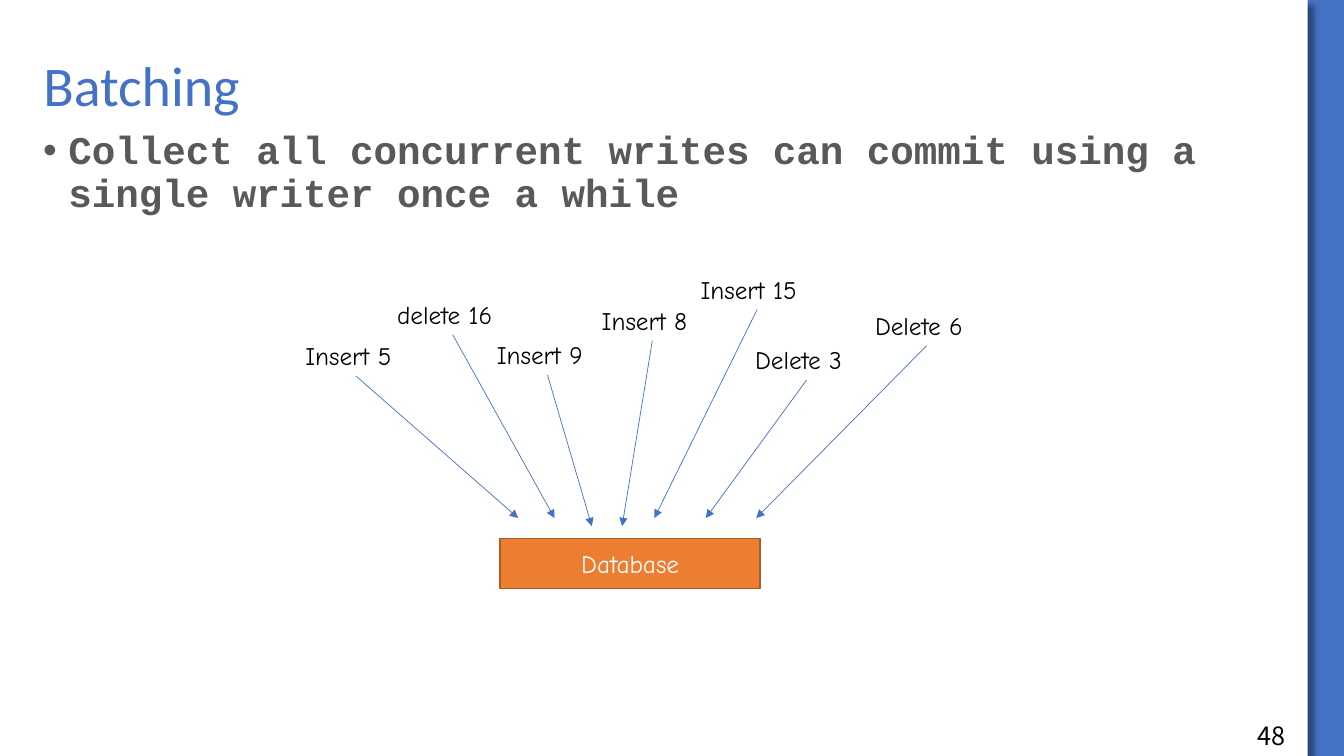
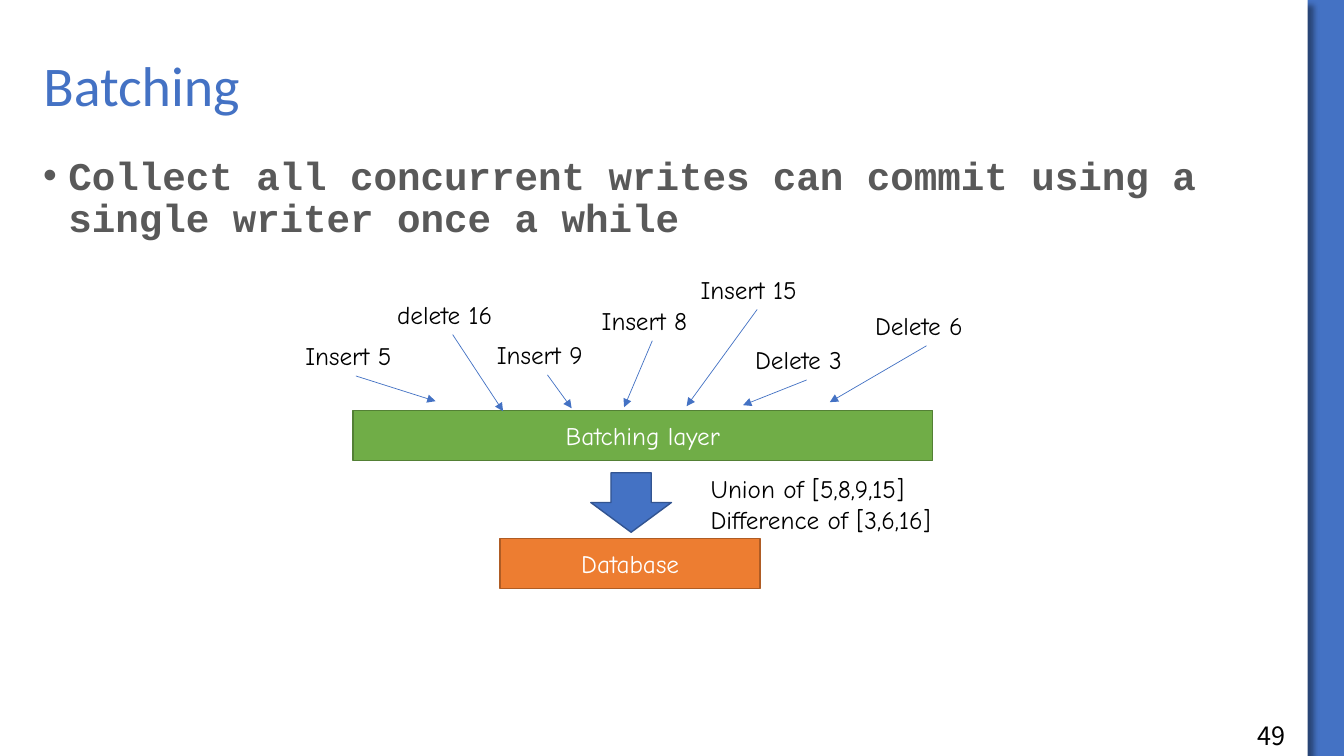
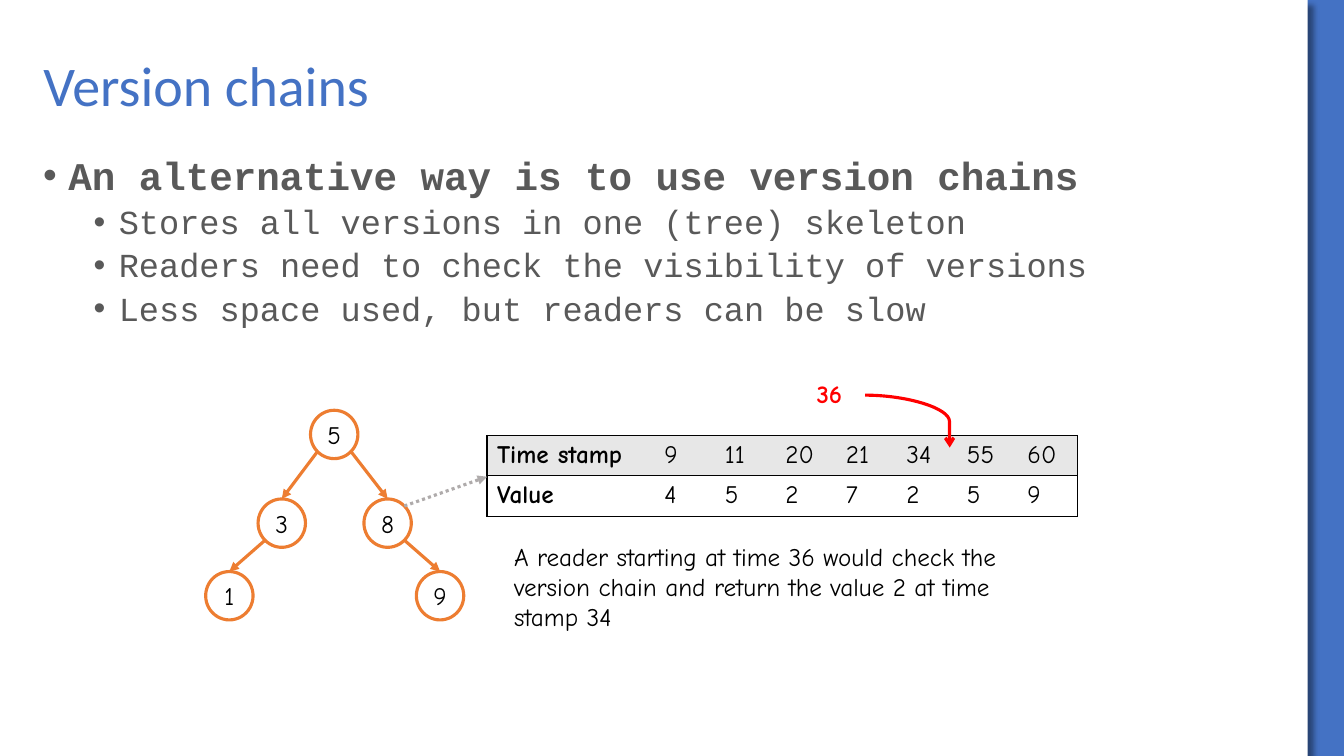
from math import sqrt

from pptx import Presentation
from pptx.dml.color import RGBColor
from pptx.enum import dml, shapes, text
from pptx.oxml import parse_xml
from pptx.oxml.ns import nsdecls, qn
from pptx.util import Inches, Pt

# Shared look
BLUE, ORANGE, GREEN = "4472C4", "ED7D31", "70AD47"
WHITE, BLACK, GREY, RED = "FFFFFF", "000000", "595959", "FF0000"
HAND, CODE = "Comic Neue", "Courier New"
TITLE_ONLY = 5

# Batching content: label, left, top, width, arrow tip at database, at layer
REQUESTS = [
    ("Insert 5", 2.93, 3.33, 1.2, (5.14, 5.14), (4.32, 3.98)),
    ("Insert 9", 4.83, 3.32, 1.2, (5.87, 5.22), (5.67, 4.05)),
    ("Delete 3", 7.39, 3.37, 1.22, (7, 5.14), (7.37, 4.02)),
    ("delete 16", 3.84, 2.92, 1.3, (5.5, 5.14), (4.99, 4.08)),
    ("Insert 15", 6.85, 2.67, 1.32, (6.49, 5.14), (6.81, 4.03)),
    ("Insert 8", 5.87, 2.98, 1.2, (6.17, 5.22), (6.19, 4.04)),
    ("Delete 6", 8.58, 3.03, 1.22, (7.5, 5.14), (8.23, 3.99)),
]
BATCHING_POINT = "Collect all concurrent writes can commit using a single writer once a while"

# Version chain content
NODES = {"5": (3.08, 4.07), "3": (2.56, 4.95), "8": (3.61, 4.95),
         "1": (2.04, 5.67), "9": (4.13, 5.67)}
EDGES = [("5", "3"), ("5", "8"), ("3", "1"), ("8", "9")]
NODE_WIDTH, NODE_HEIGHT = 0.47, 0.48
CHAIN = [["Time stamp", "9", "11", "20", "21", "34", "55", "60"],
         ["Value", "4", "5", "2", "7", "2", "5", "9"]]


def rgb(value):
    return RGBColor.from_string(value)


def element(xml):
    """Make a drawing element from a tag with its attributes and content."""
    name = xml[1:].split(" ")[0].split(">")[0].rstrip("/")
    return parse_xml(xml.replace(name, f"{name} {nsdecls('a')}", 1))


# Text
def write(para, words, size=18, font=HAND, color=BLACK, bold=False, align=None,
          spacing=None):
    span = para.add_run()
    span.text = words
    span.font.size, span.font.name, span.font.bold = Pt(size), font, bold
    span.font.color.rgb = rgb(color)
    para.alignment = align
    para.line_spacing = spacing


def add_text(page, lines, left, top, width, height, wrap=False, **style):
    box = page.shapes.add_textbox(*map(Inches, (left, top, width, height)))
    frame = box.text_frame
    frame.word_wrap = wrap
    frame.auto_size = text.MSO_AUTO_SIZE.SHAPE_TO_FIT_TEXT
    for index, words in enumerate(lines):
        write(frame.add_paragraph() if index else frame.paragraphs[0], words, **style)


def add_bullets(page, top, height, heading, details=()):
    box = page.shapes.add_textbox(*map(Inches, (0.33, top, 12.33, height)))
    frame = box.text_frame
    frame.word_wrap = True
    for index, words in enumerate([heading, *details]):
        detail = index > 0
        para = frame.add_paragraph() if detail else frame.paragraphs[0]
        write(para, words, size=24 if detail else 28, font=CODE, color=GREY,
              bold=not detail, spacing=0.9)
        para.level = int(detail)
        para.space_before = Pt(5 if detail else 6)
        props = para._p.get_or_add_pPr()
        props.set("marL", str(Inches(0.75 if detail else 0.25)))
        props.set("indent", str(Inches(-0.25)))
        props.append(element('<a:buFont typeface="Arial"/>'))
        props.append(element('<a:buChar char="•"/>'))


# Shapes and lines
def add_block(page, kind, left, top, width, height, fill, line=None, weight=1,
              label="", color=WHITE):
    block = page.shapes.add_shape(kind, *map(Inches, (left, top, width, height)))
    block.shadow.inherit = False
    block.fill.solid()
    block.fill.fore_color.rgb = rgb(fill)
    if line:
        block.line.color.rgb = rgb(line)
        block.line.width = Pt(weight)
    else:
        block.line.fill.background()
    if label:
        frame = block.text_frame
        frame.vertical_anchor = text.MSO_ANCHOR.MIDDLE
        frame.margin_left = frame.margin_right = Inches(0.08)
        frame.margin_top = frame.margin_bottom = Inches(0.04)
        write(frame.paragraphs[0], label, color=color, align=text.PP_ALIGN.CENTER)
    return block


def add_arrow(page, start, end, color=BLUE, weight=0.5, dash=None, head="triangle",
              kind=shapes.MSO_CONNECTOR.STRAIGHT):
    arrow = page.shapes.add_connector(kind, *map(Inches, (*start, *end)))
    arrow.line.color.rgb = rgb(color)
    arrow.line.width = Pt(weight)
    if dash:
        arrow.line.dash_style = dash
    props = arrow._element.spPr
    props.find(qn("a:ln")).append(element(f'<a:tailEnd type="{head}"/>'))
    props.append(element("<a:effectLst/>"))
    return arrow


# Page frame: white panel over the blue background, title, page number
def add_page(deck, title, number=None):
    page = deck.slides.add_slide(deck.slide_layouts[TITLE_ONLY])
    panel = add_block(page, shapes.MSO_SHAPE.RECTANGLE, 0, 0, 12.97, 7.5, WHITE)
    effects = panel._element.spPr.find(qn("a:effectLst"))
    effects.append(element(
        f'<a:outerShdw blurRad="{Pt(4)}" dist="{Pt(6)}" dir="2700000" algn="tl">'
        f'<a:srgbClr val="{BLACK}"><a:alpha val="40000"/></a:srgbClr></a:outerShdw>'))
    page.shapes._spTree.insert(2, panel._element)

    heading = page.shapes.title
    heading.left, heading.top = Inches(0.33), Inches(0.5)
    heading.width, heading.height = Inches(12.33), Inches(0.75)
    heading.text_frame.vertical_anchor = text.MSO_ANCHOR.MIDDLE
    write(heading.text_frame.paragraphs[0], title, size=40, font="Calibri",
          color=BLUE, align=text.PP_ALIGN.LEFT, spacing=0.9)
    if number:
        add_text(page, [number], 12.37, 7.1, 0.86, 0.4, wrap=True,
                 font="Noto Sans CJK SC")
    return page


# Batching slides
def add_batching(deck, number, body_top, body_height, layered):
    page = add_page(deck, "Batching", number)
    add_bullets(page, body_top, body_height, BATCHING_POINT)
    if layered:
        add_block(page, shapes.MSO_SHAPE.RECTANGLE, 3.5, 4.07, 5.75, 0.5, GREEN,
                  "538035", label="Batching layer")
        add_block(page, shapes.MSO_SHAPE.DOWN_ARROW, 5.86, 4.69, 0.8, 0.59, BLUE,
                  "325491")
        add_text(page, ["Union of [5,8,9,15]", "Difference of [3,6,16]"],
                 6.95, 4.65, 2.83, 0.71)
    add_block(page, shapes.MSO_SHAPE.RECTANGLE, 4.96, 5.34, 2.58, 0.5, ORANGE,
              "AF5C24", label="Database")
    for label, left, top, width, database_tip, layer_tip in REQUESTS:
        start = (left + width / 2, top + 0.4)
        add_arrow(page, start, layer_tip if layered else database_tip)
        add_text(page, [label], left, top, width, 0.4)


# Version chain slide
def add_tree(page):
    reach = 1 / sqrt(2)
    for parent, child in EDGES:
        (left, top), (child_left, child_top) = NODES[parent], NODES[child]
        side = -reach if child_left < left else reach
        start = (left + NODE_WIDTH / 2 * (1 + side),
                 top + NODE_HEIGHT / 2 * (1 + reach))
        add_arrow(page, start, (child_left + NODE_WIDTH / 2, child_top), ORANGE, 2.25)
    for label, (left, top) in NODES.items():
        add_block(page, shapes.MSO_SHAPE.OVAL, left, top, NODE_WIDTH, NODE_HEIGHT,
                  WHITE, ORANGE, 2.25, label, BLACK)


def set_borders(cell, visible):
    props = cell._tc.get_or_add_tcPr()
    paint = f'<a:solidFill><a:srgbClr val="{BLACK}"/></a:solidFill>'
    for index, side in enumerate("LRTB"):
        content = paint if side in visible else "<a:noFill/>"
        props.insert(index, element(f'<a:ln{side} w="{Pt(1)}">{content}</a:ln{side}>'))


def add_chain_table(page):
    last = len(CHAIN[0]) - 1
    table = page.shapes.add_table(len(CHAIN), last + 1, *map(
        Inches, (4.83, 4.32, 5.86, 0.8))).table
    table.first_row = table.horz_banding = False
    for index, column in enumerate(table.columns):
        column.width = Inches(0.6 if index else 1.66)
    for row, values in enumerate(CHAIN):
        for column, value in enumerate(values):
            cell = table.cell(row, column)
            cell.fill.solid()
            cell.fill.fore_color.rgb = rgb(WHITE if row else "E7E7E7")
            write(cell.text_frame.paragraphs[0], value, bold=column == 0)
            set_borders(cell, "TB" + {0: "L", last: "R"}.get(column, ""))


def add_version_chains(deck):
    page = add_page(deck, "Version chains")
    add_bullets(page, 1.5, 5.75, "An alternative way is to use version chains", [
        "Stores all versions in one (tree) skeleton",
        "Readers need to check the visibility of versions",
        "Less space used, but readers can be slow"])
    add_tree(page)
    add_chain_table(page)
    add_text(page, ["A reader starting at time 36 would check the version chain "
                    "and return the value 2 at time stamp 34"],
             5, 5.32, 5.33, 1.01, wrap=True)
    add_arrow(page, (4.01, 5.02), (4.83, 4.73), "AFABAB", 2.25,
              dash=dml.MSO_LINE.ROUND_DOT)
    # Reader's time stamp pointing between two versions
    add_text(page, ["36"], 8, 3.7, 0.51, 0.4, color=RED, bold=True)
    pointer = add_arrow(page, (8.58, 3.92), (9.42, 4.44), RED, 2.25, head="arrow",
                        kind=shapes.MSO_CONNECTOR.CURVE)
    guides = pointer._element.spPr.find(qn("a:prstGeom")).get_or_add_avLst()
    guides.append(element('<a:gd name="adj1" fmla="val 99700"/>'))


def main():
    deck = Presentation()
    deck.slide_width, deck.slide_height = Inches(13.33), Inches(7.5)
    backdrop = deck.slide_master.background.fill
    backdrop.solid()
    backdrop.fore_color.rgb = rgb(BLUE)
    add_batching(deck, "48", 1.25, 2, layered=False)
    add_batching(deck, "49", 1.5, 2.83, layered=True)
    add_version_chains(deck)
    deck.save("out.pptx")


if __name__ == "__main__":
    main()
